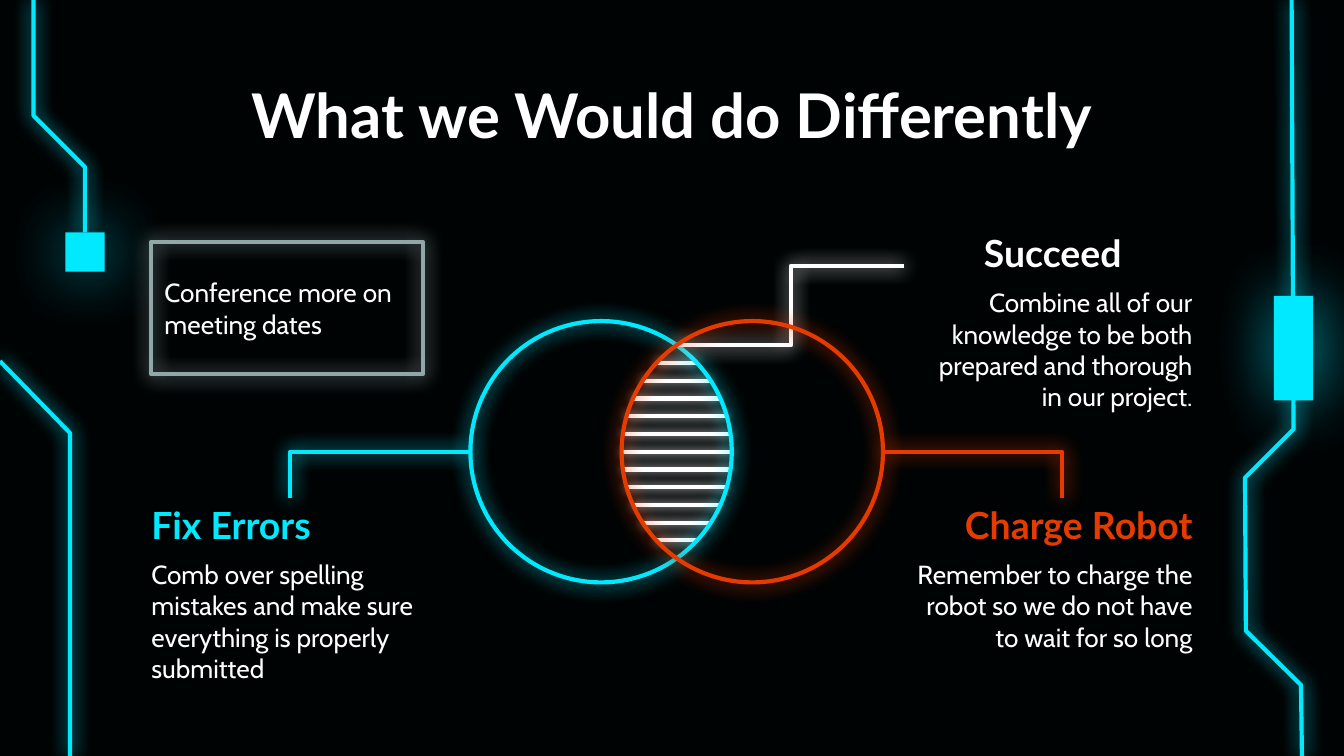
import math

import pptx
import pptx.dml.color
import pptx.enum.shapes
import pptx.enum.text
import pptx.oxml
import pptx.oxml.ns
import pptx.util

Pt = pptx.util.Pt
SHAPE = pptx.enum.shapes.MSO_SHAPE
CONNECTOR = pptx.enum.shapes.MSO_CONNECTOR
ALIGN = pptx.enum.text.PP_ALIGN
ANCHOR = pptx.enum.text.MSO_ANCHOR

COLORS = {"back": "000304", "cyan": "00E9FF", "orange": "E63B00",
          "white": "FFFFFF", "grey": "91A7A8"}
TITLE = {"name": "Lato", "size": Pt(33), "bold": True}
HEADING = {"name": "Lato", "size": Pt(20), "bold": True}
BODY = {"name": "Cabin", "size": Pt(14), "bold": False}

LINE_WIDTH = 2.25
RADIUS, CENTER_Y = 70, 242
LEFT_X, RIGHT_X = 322, 403
HATCH_COUNT, HATCH_STEP = 11, 9.5

TRACES = [
    [(18, 0), (18, 62), (45.5, 89.5), (45.5, 124.5)],
    [(0, 193.5), (37.5, 232), (37.5, 405)],
    [(692, 0), (693, 230), (667, 256), (667.5, 338), (697, 367), (697.5, 405)],
]
NODES = [(35, 124.5, 21, 21), (682.5, 158.5, 21, 56)]

# heading, heading colour, heading alignment, text, text alignment, left, top
CAPTIONS = [
    ("Fix Errors", "cyan", ALIGN.LEFT,
     "Comb over spelling mistakes and make sure everything is properly submitted",
     ALIGN.LEFT, 74, 269),
    ("Charge Robot", "orange", ALIGN.RIGHT,
     "Remember to charge the robot so we do not have to wait for so long",
     ALIGN.RIGHT, 482, 269),
    ("Succeed", "white", ALIGN.CENTER,
     "Combine all of our knowledge to be both prepared and thorough in our project.",
     ALIGN.RIGHT, 482, 123.5),
]


def rgb(color):
    return pptx.dml.color.RGBColor.from_string(COLORS[color])


def add_glow(sp, color, blur=10.1, alpha=100, dist=0):
    """Put a coloured blurred shadow behind a shape whose line is already set."""
    sp._element.spPr.append(pptx.oxml.parse_xml(
        f'<a:effectLst {pptx.oxml.ns.nsdecls("a")}>'
        f'<a:outerShdw blurRad="{Pt(blur)}" dist="{Pt(dist)}" dir="0" algn="bl" rotWithShape="0">'
        f'<a:srgbClr val="{COLORS[color]}"><a:alpha val="{alpha * 1000}"/></a:srgbClr>'
        f'</a:outerShdw></a:effectLst>'))


def set_line(sp, color):
    sp.line.color.rgb = rgb(color)
    sp.line.width = Pt(LINE_WIDTH)


def add_outline(s, kind, box, color):
    sp = s.shapes.add_shape(kind, *map(Pt, box))
    sp.fill.background()
    set_line(sp, color)
    add_glow(sp, color)


def add_circle(s, x, color):
    add_outline(s, SHAPE.OVAL,
                (x - RADIUS, CENTER_Y - RADIUS, 2 * RADIUS, 2 * RADIUS), color)


def add_node(s, box):
    sp = s.shapes.add_shape(SHAPE.RECTANGLE, *map(Pt, box))
    sp.fill.solid()
    sp.fill.fore_color.rgb = rgb("cyan")
    sp.line.fill.background()
    add_glow(sp, "cyan", blur=36, alpha=70, dist=1.5)


def add_trace(s, points):
    start, *rest = [(Pt(x), Pt(y)) for x, y in points]
    builder = s.shapes.build_freeform(*start)
    builder.add_line_segments(rest, close=False)
    sp = builder.convert_to_shape()
    sp.fill.background()
    set_line(sp, "cyan")
    add_glow(sp, "cyan")


def add_connector(s, kind, start, end, color, blur=10.1, single_bend=False):
    sp = s.shapes.add_connector(kind, *map(Pt, (*start, *end)))
    if single_bend:
        sp._element.spPr.find(pptx.oxml.ns.qn("a:prstGeom")).set("prst", "bentConnector2")
    set_line(sp, color)
    add_glow(sp, color, blur)


def add_hatching(s):
    """Fill the overlap of the two circles with evenly spaced chords."""
    middle = (LEFT_X + RIGHT_X) / 2
    for i in range(HATCH_COUNT):
        dy = (i - HATCH_COUNT // 2) * HATCH_STEP
        half = math.sqrt(RADIUS ** 2 - dy ** 2) - (RIGHT_X - LEFT_X) / 2
        y = CENTER_Y + dy
        add_connector(s, CONNECTOR.STRAIGHT, (middle - half, y), (middle + half, y),
                      "white", blur=5.6)


def write_text(sp, text, font, color, align, anchor, inset_top=7.2):
    tf = sp.text_frame
    frame = {"word_wrap": True, "auto_size": pptx.enum.text.MSO_AUTO_SIZE.NONE,
             "vertical_anchor": anchor, "margin_left": Pt(7.2), "margin_right": Pt(7.2),
             "margin_top": Pt(inset_top), "margin_bottom": Pt(7.2)}
    for name, value in frame.items():
        setattr(tf, name, value)
    p = tf.paragraphs[0]
    p.alignment = align
    r = p.add_run()
    r.text = text
    for name, value in font.items():
        setattr(r.font, name, value)
    r.font.color.rgb = rgb(color)


def add_title(s, text):
    sp = s.shapes.title
    box = {"left": 56, "top": 42.5, "width": 608, "height": 37.5}
    for name, value in box.items():
        setattr(sp, name, Pt(value))
    write_text(sp, text, TITLE, "white", ALIGN.CENTER, ANCHOR.MIDDLE)


def add_text(s, box, *text_format):
    write_text(s.shapes.add_textbox(*map(Pt, box)), *text_format)


def add_caption(s, heading, color, heading_align, text, text_align, left, top):
    add_text(s, (left, top, 164, 30), heading, HEADING, color, heading_align, ANCHOR.TOP, 0)
    add_text(s, (left, top + 30, 164, 62), text, BODY, "white", text_align, ANCHOR.TOP, 0)


def add_venn(s):
    add_hatching(s)
    add_circle(s, LEFT_X, "cyan")
    for x, end_x, color in [(LEFT_X - RADIUS, 155.5, "cyan"),
                            (RIGHT_X + RADIUS, 569, "orange")]:
        add_connector(s, CONNECTOR.ELBOW, (x, CENTER_Y), (end_x, 267), color, single_bend=True)
    add_connector(s, CONNECTOR.ELBOW, (484.5, 142.5), (363, 185), "white")
    add_circle(s, RIGHT_X, "orange")


def main():
    prs = pptx.Presentation()
    prs.slide_width, prs.slide_height = Pt(720), Pt(405)
    s = prs.slides.add_slide(prs.slide_layouts.get_by_name("Title Only"))
    s.background.fill.solid()
    s.background.fill.fore_color.rgb = rgb("back")

    for points in TRACES:
        add_trace(s, points)
    for box in NODES:
        add_node(s, box)
    add_title(s, "What we Would do Differently")
    for caption in CAPTIONS:
        add_caption(s, *caption)
    note_box = (81, 129.5, 145.5, 71)
    add_outline(s, SHAPE.RECTANGLE, note_box, "grey")
    add_text(s, note_box, "Conference more on meeting dates", BODY, "white",
             ALIGN.LEFT, ANCHOR.MIDDLE)
    add_venn(s)
    prs.save("out.pptx")


if __name__ == "__main__":
    main()
